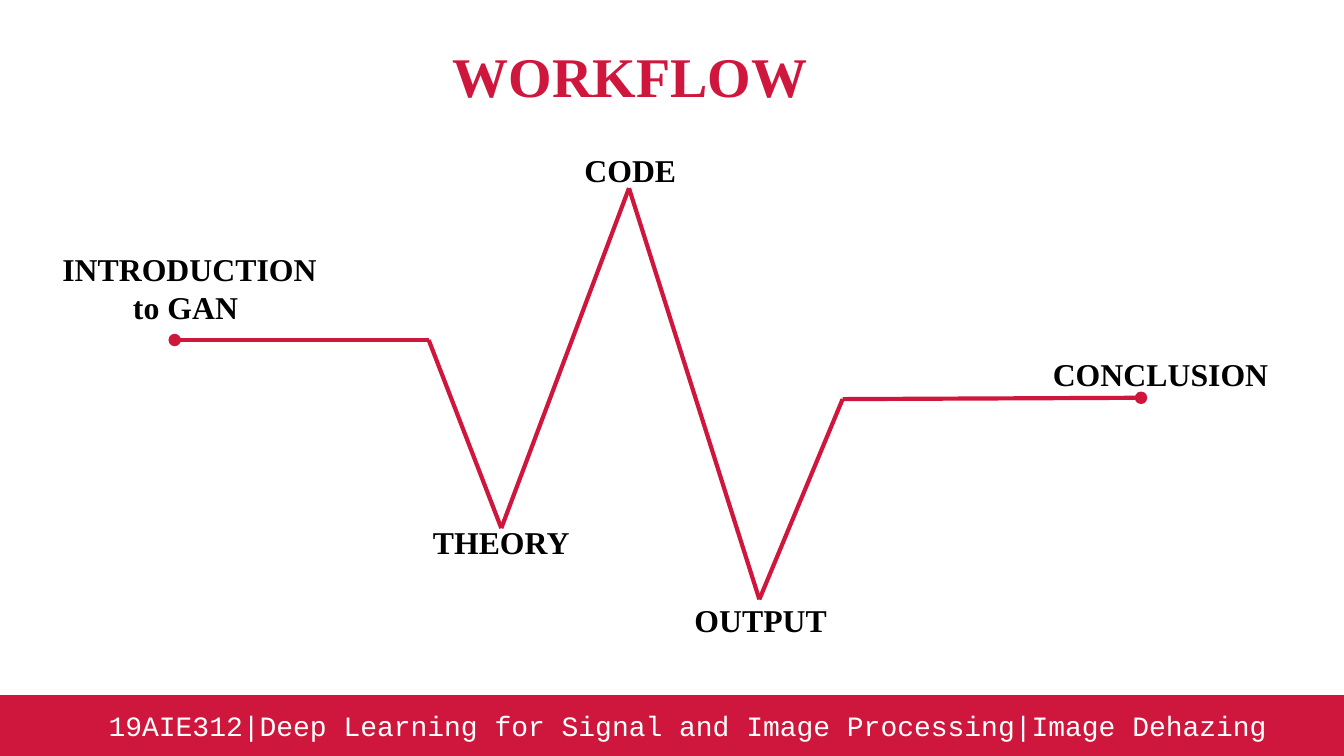
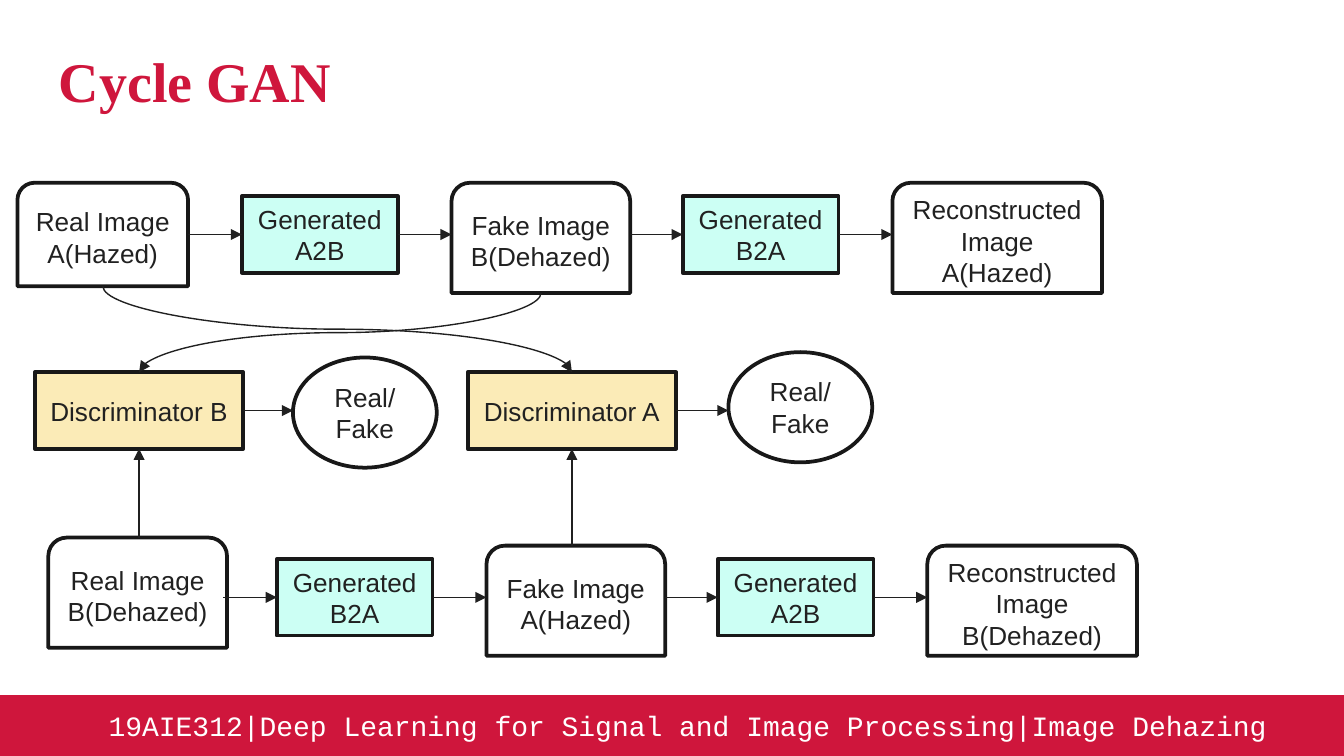
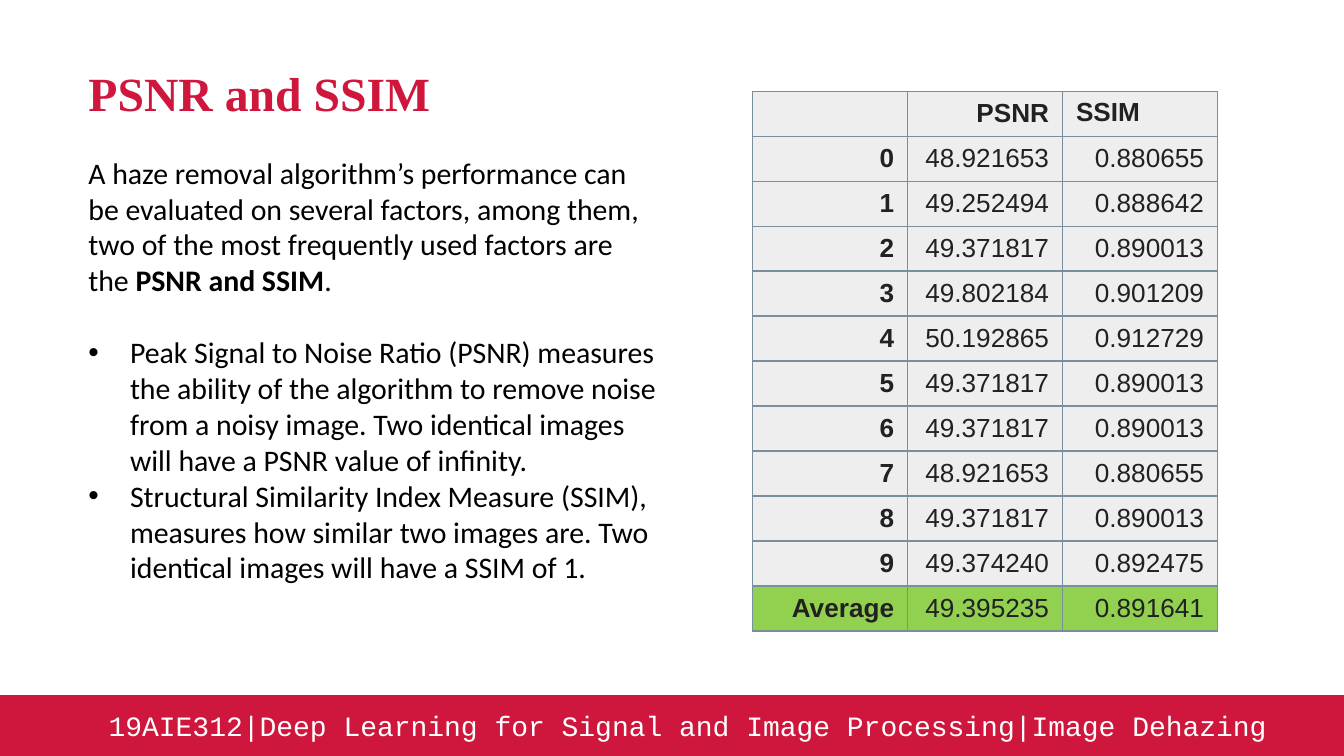
from dataclasses import dataclass
from typing import NamedTuple, Optional

from lxml.etree import SubElement
from pptx import Presentation
from pptx.dml.color import RGBColor as RGB
from pptx.enum.shapes import MSO_CONNECTOR as LINK, MSO_SHAPE as SHAPE
from pptx.enum.text import MSO_ANCHOR as ANCHOR, MSO_AUTO_SIZE as FIT, PP_ALIGN as ALIGN
from pptx.oxml.ns import qn
from pptx.util import Inches, Pt


@dataclass(frozen=True)
class Theme:
    red: str = "CF163C"
    white: str = "FFFFFF"
    black: str = "000000"
    ink: str = "212121"
    outline: str = "181818"
    arrow: str = "202020"
    mint: str = "CCFFF4"
    sand: str = "FBEBB7"
    cell: str = "EEEEEE"
    average: str = "92D050"
    border: str = "78909C"
    serif: str = "Times New Roman"
    sans: str = "Arial"
    body: str = "Calibri"
    mono: str = "Courier New"
    title_size: float = 30
    small_title_size: float = 25.5
    step_size: float = 17
    body_size: float = 16
    body_line: float = 19.5
    footer_size: float = 15
    node_size: float = 14


T = Theme()


class Style(NamedTuple):
    font: str
    size: float
    color: str
    bold: bool = False


class Box(NamedTuple):
    left: float
    top: float
    width: float
    height: float

    @property
    def right(self) -> float:
        return self.left + self.width

    @property
    def bottom(self) -> float:
        return self.top + self.height

    @property
    def mid_x(self) -> float:
        return self.left + self.width / 2

    @property
    def mid_y(self) -> float:
        return self.top + self.height / 2


class Point(NamedTuple):
    x: float
    y: float


class Step(NamedTuple):
    text: str
    box: Box


class Chain(NamedTuple):
    shift: Point
    source: Box
    texts: tuple


class Joint(NamedTuple):
    shape: object
    site: int


TITLE = Style(T.serif, T.title_size, T.red, True)
SMALL_TITLE = Style(T.serif, T.small_title_size, T.red, True)
STEP = Style(T.serif, T.step_size, T.black, True)
FOOTER = Style(T.mono, T.footer_size, T.white)
NODE = Style(T.sans, T.node_size, T.ink)
HEAD = NODE._replace(bold=True)
BODY = Style(T.body, T.body_size, T.black)
TOP, LEFT, BOTTOM, RIGHT = range(4)

FOOTER_TEXT = "19AIE312|Deep Learning for Signal and Image Processing|Image Dehazing"

STEPS = (
    Step("INTRODUCTION to GAN ", Box(0.27, 1.76, 2.28, 0.77)),
    Step("THEORY", Box(2.86, 3.79, 1.74, 0.49)),
    Step("CODE", Box(4.07, 1.02, 1.24, 0.49)),
    Step("OUTPUT", Box(5.04, 4.37, 1.24, 0.49)),
    Step("CONCLUSION", Box(7.69, 2.54, 1.89, 0.49)),
)
ROUTE = (
    Point(1.3, 2.53), Point(3.19, 2.53), Point(3.73, 3.93), Point(4.68, 1.4),
    Point(5.65, 4.46), Point(6.27, 2.97), Point(8.49, 2.96),
)

CHAINS = (
    Chain(Point(0, 0), Box(0.13, 1.36, 1.27, 0.77),
          ("Real Image A(Hazed)", "Generated A2B", "Fake Image B(Dehazed)",
           "Generated B2A", "Reconstructed Image A(Hazed)")),
    Chain(Point(0.26, 2.7), Box(0.36, 4, 1.33, 0.82),
          ("Real Image B(Dehazed)", "Generated B2A", "Fake Image A(Hazed)",
           "Generated A2B", "Reconstructed Image B(Dehazed)")),
)
CHAIN_START = 1.4
CHAIN_BOXES = (
    Box(1.8, 1.46, 1.16, 0.57), Box(3.36, 1.36, 1.33, 0.82),
    Box(5.08, 1.46, 1.16, 0.57), Box(6.64, 1.36, 1.56, 0.82),
)
DISCRIMINATORS = (
    Step("Discriminator B", Box(0.26, 2.77, 1.55, 0.57)),
    Step("Discriminator A", Box(3.48, 2.77, 1.55, 0.57)),
)
VERDICTS = (Box(2.18, 2.66, 1.07, 0.82), Box(5.42, 2.62, 1.07, 0.82))

INTRO = (
    ("A haze removal algorithm’s performance can be evaluated on several factors, "
     "among them, two of the most frequently used factors are the ", BODY),
    ("PSNR and SSIM", BODY._replace(bold=True)),
    (".", BODY),
)
BULLETS = (
    "Peak Signal to Noise Ratio (PSNR) measures the ability of the algorithm to remove "
    "noise from a noisy image. Two identical images will have a PSNR value of infinity.",
    "Structural Similarity Index Measure (SSIM), measures how similar two images are. "
    "Two identical images will have a SSIM of 1.",
)
SCORES = (
    ("", "PSNR", "SSIM"),
    ("0", "48.921653", "0.880655"),
    ("1", "49.252494", "0.888642"),
    ("2", "49.371817", "0.890013"),
    ("3", "49.802184", "0.901209"),
    ("4", "50.192865", "0.912729"),
    ("5", "49.371817", "0.890013"),
    ("6", "49.371817", "0.890013"),
    ("7", "48.921653", "0.880655"),
    ("8", "49.371817", "0.890013"),
    ("9", "49.374240", "0.892475"),
    ("Average", "49.395235", "0.891641"),
)


def inches(values) -> list:
    return [Inches(v) for v in values]


def add_run(p, text: str, style: Style) -> None:
    r = p.add_run()
    r.text = text
    r.font.name = style.font
    r.font.size = Pt(style.size)
    r.font.bold = style.bold
    r.font.color.rgb = RGB.from_string(style.color)


def add_text(shapes, box: Box, text: str, style: Style, align=ALIGN.LEFT,
             anchor=ANCHOR.TOP, fit=FIT.SHAPE_TO_FIT_TEXT):
    tf = shapes.add_textbox(*inches(box)).text_frame
    tf.word_wrap = True
    tf.auto_size = fit
    tf.vertical_anchor = anchor
    tf.margin_left = tf.margin_right = tf.margin_top = tf.margin_bottom = Inches(0.1)
    p = tf.paragraphs[0]
    p.alignment = align
    add_run(p, text, style)
    return tf


def add_title(s, box: Box, text: str, style: Style):
    return add_text(s.shapes, box, text, style, anchor=ANCHOR.MIDDLE, fit=FIT.NONE)


def add_block(shapes, kind, box: Box, fill: Optional[str], line: str, weight: float):
    sp = shapes.add_shape(kind, *inches(box))
    sp.shadow.inherit = False
    if fill:
        sp.fill.solid()
        sp.fill.fore_color.rgb = RGB.from_string(fill)
    else:
        sp.fill.background()
    sp.line.color.rgb = RGB.from_string(line)
    sp.line.width = Pt(weight)
    return sp


def add_footer(s) -> None:
    group = s.shapes.add_group_shape()
    add_block(group.shapes, SHAPE.RECTANGLE, Box(0, 5.18, 10, 0.44), T.red, T.red, 0.75)
    add_text(group.shapes, Box(0.71, 5.17, 8.9, 0.45), FOOTER_TEXT, FOOTER)


def add_node(s, kind, box: Box, text: str, fill: Optional[str] = None):
    sp = add_block(s.shapes, kind, box, fill, T.outline, 2)
    tf = sp.text_frame
    tf.word_wrap = True
    tf.vertical_anchor = ANCHOR.MIDDLE
    p = tf.paragraphs[0]
    p.alignment = ALIGN.CENTER
    add_run(p, text, NODE)
    return sp


def add_link(s, start: Point, end: Point, color: str, weight: float,
             head: str = "", tail: str = "", kind=LINK.STRAIGHT):
    link = s.shapes.add_connector(kind, *inches(start + end))
    link.line.color.rgb = RGB.from_string(color)
    link.line.width = Pt(weight)
    sp_pr = link._element.spPr
    for tag, tip in (("a:headEnd", head), ("a:tailEnd", tail)):
        if tip:
            SubElement(sp_pr.find(qn("a:ln")), qn(tag), type=tip)
    SubElement(sp_pr, qn("a:effectLst"))
    return link


def add_arrow(s, start: Point, end: Point, begin_at: Optional[Joint] = None,
              end_at: Optional[Joint] = None) -> None:
    link = add_link(s, start, end, T.arrow, 0.75, tail="triangle")
    if begin_at:
        link.begin_connect(*begin_at)
    if end_at:
        link.end_connect(*end_at)


def add_falling_curve(s, start: Point, end: Point) -> None:
    mid_x, mid_y = (start.x + end.x) / 2, (start.y + end.y) / 2
    rightward = end.x > start.x
    half_w = (end.y - start.y) / 2 * (-1 if rightward else 1)
    half_h = abs(end.x - start.x) / 2
    link = add_link(s, Point(mid_x - half_w, mid_y - half_h),
                    Point(mid_x + half_w, mid_y + half_h),
                    T.arrow, 0.75, tail="triangle", kind=LINK.CURVE)
    angle = 270 if rightward else 90
    link._element.spPr.find(qn("a:xfrm")).set("rot", str(angle * 60000))


def add_chain(s, chain: Chain) -> None:
    dx, dy = chain.shift
    boxes = [b._replace(left=b.left + dx, top=b.top + dy) for b in CHAIN_BOXES]
    add_node(s, SHAPE.ROUND_2_SAME_RECTANGLE, chain.source, chain.texts[0])
    y = boxes[0].mid_y
    x, last = CHAIN_START + dx, None
    for i, (box, text) in enumerate(zip(boxes, chain.texts[1:])):
        generator = i % 2 == 0
        if generator:
            sp = add_node(s, SHAPE.RECTANGLE, box, text, T.mint)
        else:
            sp = add_node(s, SHAPE.ROUND_2_SAME_RECTANGLE, box, text)
        add_arrow(s, Point(x, y), Point(box.left, y),
                  None if generator else Joint(last, RIGHT),
                  Joint(sp, LEFT) if generator else None)
        x, last = box.right, sp


def build_workflow(s) -> None:
    add_text(s.shapes, Box(2.83, 0.21, 3.72, 0.71), "WORKFLOW", TITLE, ALIGN.CENTER)
    legs = list(zip(ROUTE, ROUTE[1:]))
    for i, (start, end) in enumerate(legs):
        add_link(s, start, end, T.red, 2.25,
                 head="oval" if i == 0 else "",
                 tail="oval" if i == len(legs) - 1 else "")
    for step in STEPS:
        add_text(s.shapes, step.box, step.text, STEP, ALIGN.CENTER)


def build_cycle_gan(s) -> None:
    add_title(s, Box(0.34, 0.21, 9.32, 0.77), "Cycle GAN", TITLE)
    for chain in CHAINS:
        add_chain(s, chain)
    dy = CHAINS[1].shift.y
    lower_tops = (CHAINS[1].source.top, CHAIN_BOXES[1].top + dy)
    for (text, box), verdict, lower_top in zip(DISCRIMINATORS, VERDICTS, lower_tops):
        sp = add_node(s, SHAPE.RECTANGLE, box, text, T.sand)
        add_node(s, SHAPE.OVAL, verdict, "Real/Fake")
        add_arrow(s, Point(box.right, box.mid_y), Point(verdict.left, box.mid_y),
                  begin_at=Joint(sp, RIGHT))
        add_arrow(s, Point(box.mid_x, lower_top), Point(box.mid_x, box.bottom),
                  end_at=Joint(sp, BOTTOM))
    upper_images = (CHAIN_BOXES[1], CHAINS[0].source)
    for image, (_, box) in zip(upper_images, DISCRIMINATORS):
        add_falling_curve(s, Point(image.mid_x, image.bottom), Point(box.mid_x, box.top))


def add_bullet(tf, text: str, gap: float) -> None:
    p = tf.add_paragraph()
    p.space_before = Pt(gap)
    p_pr = p._p.get_or_add_pPr()
    p_pr.set("marL", str(Inches(0.31)))
    p_pr.set("indent", str(-Inches(0.31)))
    SubElement(SubElement(p_pr, qn("a:buClr")), qn("a:srgbClr"), val=T.black)
    SubElement(p_pr, qn("a:buFont"), typeface=T.sans)
    SubElement(p_pr, qn("a:buChar"), char="•")
    add_run(p, text, BODY)


def add_explanation(s) -> None:
    tf = s.shapes.add_textbox(*inches(Box(0.56, 1.1, 4.44, 3.6))).text_frame
    tf.word_wrap = True
    tf.auto_size = FIT.SHAPE_TO_FIT_TEXT
    for text, style in INTRO:
        add_run(tf.paragraphs[0], text, style)
    for i, text in enumerate(BULLETS):
        add_bullet(tf, text, T.body_line if i == 0 else 0)


def style_cell(cell, fill: str) -> None:
    tc_pr = cell._tc.get_or_add_tcPr()
    for side in ("a:lnL", "a:lnR", "a:lnT", "a:lnB"):
        ln = SubElement(tc_pr, qn(side), w=str(Pt(1)))
        SubElement(SubElement(ln, qn("a:solidFill")), qn("a:srgbClr"), val=T.border)
    cell.fill.solid()
    cell.fill.fore_color.rgb = RGB.from_string(fill)


def add_scores(s) -> None:
    rows, cols = len(SCORES), len(SCORES[0])
    frame = s.shapes.add_table(rows, cols, *inches(Box(5.6, 0.68, 3.46, 4.02)))
    table = frame.table
    table.first_row = table.horz_banding = False
    for i, values in enumerate(SCORES):
        for j, text in enumerate(values):
            cell = table.cell(i, j)
            style_cell(cell, T.average if i == rows - 1 else T.cell)
            p = cell.text_frame.paragraphs[0]
            if not text:
                SubElement(p._p, qn("a:endParaRPr"), sz=str(int(T.node_size * 100)))
                continue
            top_left = text == "SSIM"
            cell.vertical_anchor = ANCHOR.TOP if top_left else ANCHOR.MIDDLE
            p.alignment = ALIGN.LEFT if top_left else ALIGN.RIGHT
            add_run(p, text, HEAD if i == 0 or j == 0 else NODE)


def build_scores(s) -> None:
    add_explanation(s)
    add_scores(s)
    tf = add_title(s, Box(0.56, 0.33, 2.99, 0.77), "PSNR and SSIM", SMALL_TITLE)
    tf.paragraphs[0].line_spacing = 0.9


def main() -> None:
    prs = Presentation()
    prs.slide_width = Inches(10)
    prs.slide_height = prs.slide_width * 9 // 16
    for build in (build_workflow, build_cycle_gan, build_scores):
        s = prs.slides.add_slide(prs.slide_layouts[6])
        build(s)
        add_footer(s)
    prs.save("out.pptx")


if __name__ == "__main__":
    main()
